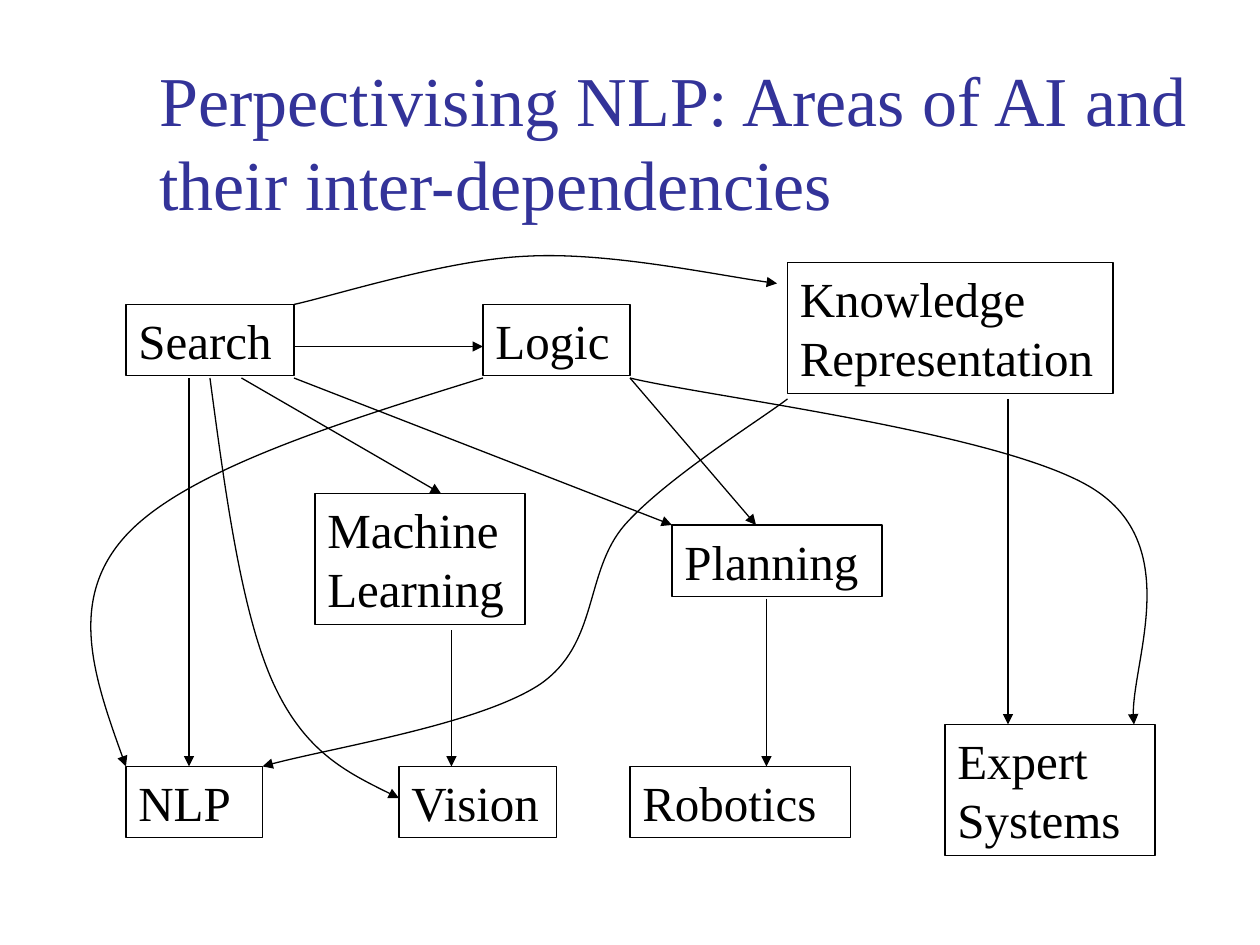
from typing import NamedTuple

from lxml import etree
from pptx import Presentation
from pptx import util as u
from pptx.dml.color import RGBColor
from pptx.enum import shapes, text
from pptx.oxml.ns import qn

PX = 7620  # EMU per px: 120 px to the inch
FONT = "Times New Roman"
BLACK, BLUE = "000000", "333399"
LOW, HIGH = 68, 125  # heights of one-line and two-line boxes
FRAME = {
    "word_wrap": True,
    "margin_left": 12 * PX, "margin_right": 12 * PX,
    "margin_top": 6 * PX, "margin_bottom": 6 * PX,
}


class Box(NamedTuple):
    label: str
    x: int
    y: int
    w: int
    h: int = LOW


class Link(NamedTuple):
    x1: int
    y1: int
    x2: int
    y2: int


Curve = list[tuple[int, int]]  # start, then two controls and an end per arc

TITLE = Box("Perpectivising NLP: Areas of AI and their inter-dependencies",
            140, 28, 1033, 192)
AREAS = [
    Box("Search", 120, 290, 160),
    Box("Vision", 380, 730, 150),
    Box("Planning", 640, 500, 200),
    Box("Machine Learning", 300, 470, 200, HIGH),
    Box("Knowledge Representation", 750, 250, 310, HIGH),
    Box("Logic", 460, 290, 140),
    Box("Expert Systems", 900, 690, 200, HIGH),
    Box("Robotics", 600, 730, 210),
    Box("NLP", 120, 730, 130),
]
LINKS = [
    Link(180, 360, 180, 730),  # Search to NLP
    Link(280, 330, 460, 330),  # Search to Logic
    Link(280, 360, 640, 500),  # Search to Planning
    Link(230, 360, 420, 470),  # Search to Machine Learning
    Link(600, 360, 720, 500),  # Logic to Planning
    Link(960, 380, 960, 690),  # Knowledge to Expert Systems
    Link(430, 600, 430, 730),  # Machine Learning to Vision
    Link(730, 570, 730, 730),  # Planning to Robotics
]
CURVES: list[Curve] = [
    # Search to Knowledge
    [(280, 290), (317, 282), (426, 247), (503, 244),
     (580, 240), (691, 264), (740, 270)],
    # Search to Vision
    [(200, 360), (215, 472), (230, 583), (260, 650),
     (290, 716), (335, 738), (380, 760)],
    # Logic to NLP
    [(460, 360), (318, 404), (176, 449), (120, 510),
     (64, 571), (91, 650), (120, 730)],
    # Logic to Expert Systems
    [(600, 360), (674, 378), (965, 413), (1045, 468),
     (1126, 523), (1073, 643), (1080, 690)],
    # Knowledge to NLP
    [(750, 380), (724, 400), (635, 455), (595, 500), (556, 545),
     (571, 613), (514, 652), (456, 690), (305, 714), (250, 730)],
]


def color(code: str) -> RGBColor:
    return RGBColor.from_string(code)


def assign(obj, vals: dict) -> None:
    for key, val in vals.items():
        setattr(obj, key, val)


def write(shape, words: str, size: int, code: str, anchor) -> None:
    frame = shape.text_frame
    frame.text = words
    assign(frame, FRAME | {"vertical_anchor": anchor})
    para = frame.paragraphs[0]
    para.alignment = text.PP_ALIGN.LEFT
    assign(para.font, {"name": FONT, "size": u.Pt(size), "bold": False})
    para.font.color.rgb = color(code)


def stroke(shape) -> None:
    shape.line.color.rgb = color(BLACK)
    shape.line.width = u.Pt(0.75)


def point(shape) -> None:
    """Give a line its stroke and end arrowhead, without a shadow."""
    stroke(shape)
    props = shape.element.spPr
    etree.SubElement(props.find(qn("a:ln")), qn("a:tailEnd"), type="triangle")
    if props.find(qn("a:effectLst")) is None:
        etree.SubElement(props, qn("a:effectLst"))


def add_title(slide, box: Box) -> None:
    shape = slide.shapes.title
    assign(shape, {"left": box.x * PX, "top": box.y * PX,
                   "width": box.w * PX, "height": box.h * PX})
    write(shape, box.label, 40, BLUE, text.MSO_ANCHOR.BOTTOM)
    shape.text_frame.auto_size = text.MSO_AUTO_SIZE.NONE


def add_area(slide, box: Box) -> None:
    shape = slide.shapes.add_shape(
        shapes.MSO_SHAPE.RECTANGLE, *(n * PX for n in box[1:]))
    shape.shadow.inherit = False
    shape.fill.background()
    stroke(shape)
    write(shape, box.label, 28, BLACK, text.MSO_ANCHOR.TOP)
    shape.text_frame.auto_size = text.MSO_AUTO_SIZE.SHAPE_TO_FIT_TEXT


def add_link(slide, link: Link) -> None:
    point(slide.shapes.add_connector(
        shapes.MSO_CONNECTOR.STRAIGHT, *(n * PX for n in link)))


def add_curve(slide, curve: Curve) -> None:
    """Draw an open outline and join each three points into a Bezier arc."""
    form = slide.shapes.build_freeform(*curve[0], scale=PX)
    form.add_line_segments(curve[1:], close=False)
    shape = form.convert_to_shape()
    shape.shadow.inherit = False
    shape.fill.background()
    track = shape.element.spPr.find(".//" + qn("a:path"))
    steps = track.findall(qn("a:lnTo"))
    for i in range(0, len(steps), 3):
        arc = etree.SubElement(track, qn("a:cubicBezTo"))
        for step in steps[i:i + 3]:
            arc.append(step[0])
            track.remove(step)
    point(shape)


def main() -> None:
    deck = Presentation()
    assign(deck, {"slide_width": 1200 * PX, "slide_height": 900 * PX})
    slide = deck.slides.add_slide(deck.slide_layouts[5])
    add_title(slide, TITLE)
    for box in AREAS:
        add_area(slide, box)
    for link in LINKS:
        add_link(slide, link)
    for curve in CURVES:
        add_curve(slide, curve)
    deck.save("out.pptx")


if __name__ == "__main__":
    main()
